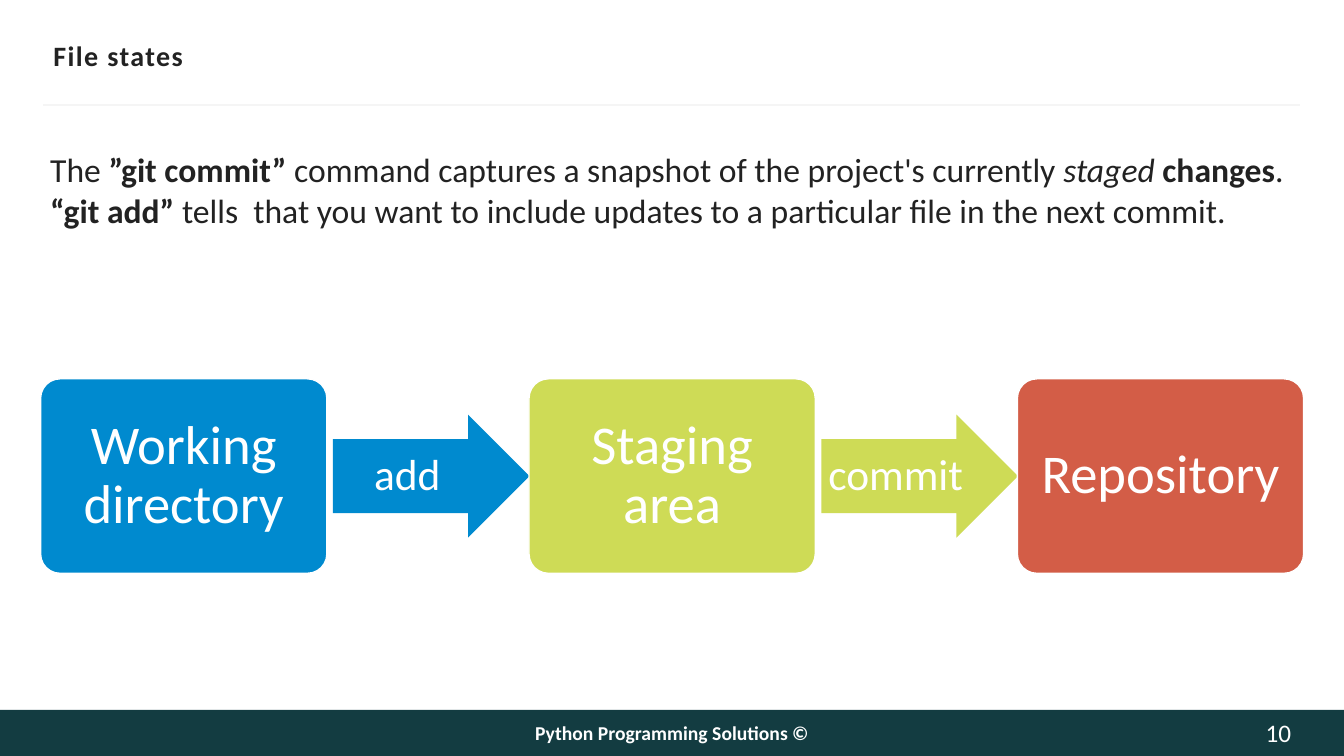
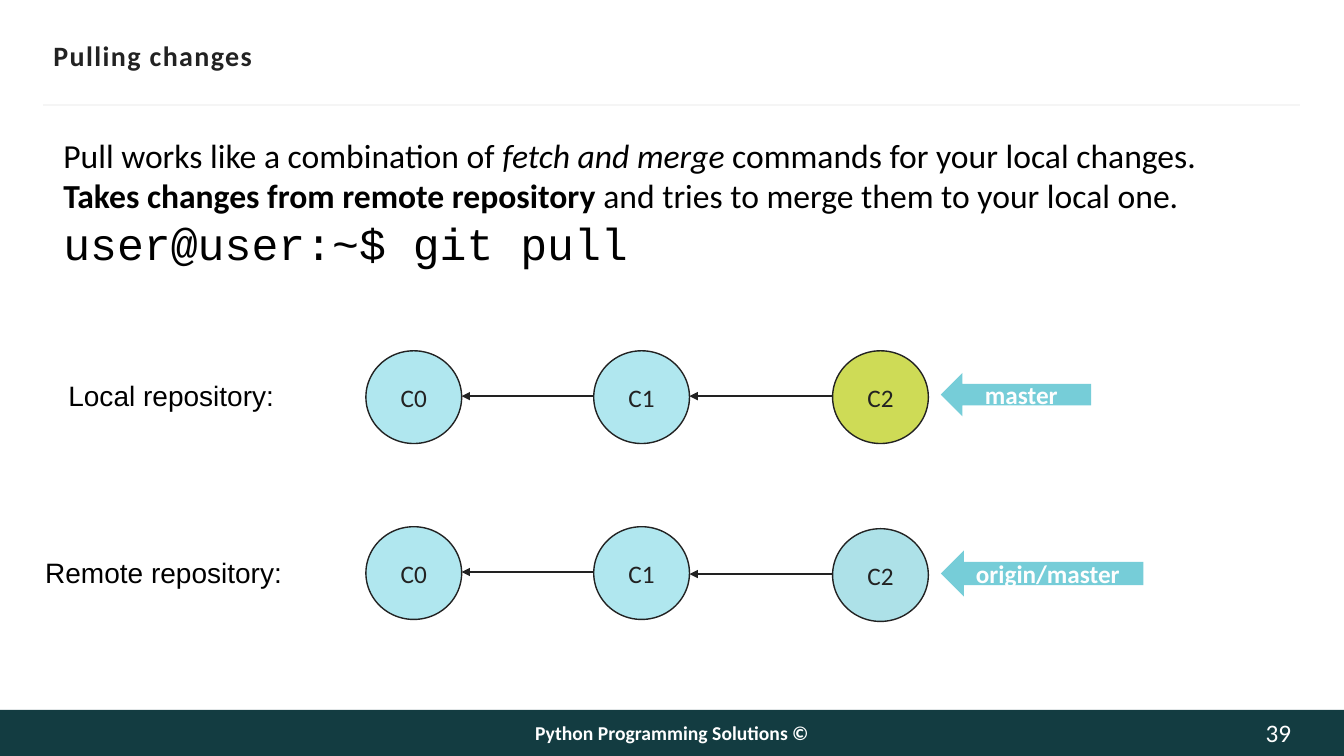
from dataclasses import dataclass
from itertools import pairwise
from typing import NamedTuple

from lxml.etree import SubElement
from pptx import Presentation
from pptx.dml.color import RGBColor
from pptx.enum.shapes import MSO_CONNECTOR, MSO_SHAPE
from pptx.enum.text import MSO_ANCHOR, PP_ALIGN
from pptx.oxml.ns import qn
from pptx.shapes.autoshape import Shape
from pptx.shapes.connector import Connector
from pptx.slide import Slide
from pptx.util import Emu, Inches, Pt

COLUMNS, ROWS = 160, 90
CELL = Inches(1) / 12  # square cell of the layout grid


@dataclass(frozen=True)
class Theme:
    ink: str = "222222"
    black: str = "000000"
    white: str = "FFFFFF"
    off_white: str = "FEFEFE"
    band: str = "133C41"
    rule: str = "F5F5F5"
    blue: str = "008ACF"
    lime: str = "CEDB56"
    red: str = "D35D47"
    pale_cyan: str = "B0E7EF"
    soft_cyan: str = "ADE1E8"
    cyan: str = "76CDD8"
    sans: str = "Calibri"
    label_face: str = "Arial"
    code_face: str = "Courier New"
    footer_size: int = 14
    small_size: int = 18
    title_size: int = 20
    body_size: int = 24
    step_size: int = 31
    code_size: int = 32
    state_size: int = 39


THEME = Theme()


class Box(NamedTuple):
    """Position and size in grid columns and rows."""
    column: float
    row: float
    width: float
    height: float

    @property
    def right(self) -> float:
        return self.column + self.width

    @property
    def middle(self) -> float:
        return self.row + self.height / 2


class Style(NamedTuple):
    size: int
    color: str
    face: str = THEME.sans
    bold: bool = False
    align: PP_ALIGN = PP_ALIGN.LEFT
    line_spacing: float = 1.0


class Span(NamedTuple):
    text: str
    bold: bool = False
    italic: bool = False


class Line(NamedTuple):
    spans: list[Span]
    style: Style


class Stage(NamedTuple):
    name: str
    color: str
    next_step: str = ""


class Commit(NamedTuple):
    name: str
    color: str
    drop: float = 0


class Repository(NamedTuple):
    label: str
    label_box: Box
    row: float
    commits: list[Commit]
    branch: str
    branch_box: Box


TITLE = Style(THEME.title_size, THEME.ink, bold=True)
FOOTER = Style(THEME.footer_size, THEME.white, bold=True, align=PP_ALIGN.CENTER)
NUMBER = Style(THEME.small_size, THEME.off_white, align=PP_ALIGN.RIGHT)
BODY = Style(THEME.body_size, THEME.ink)
BLACK_BODY = Style(THEME.body_size, THEME.black)
CODE = Style(THEME.code_size, THEME.black, THEME.code_face)
LABEL = Style(THEME.title_size, THEME.black, THEME.label_face)
STATE = Style(THEME.state_size, THEME.white, align=PP_ALIGN.CENTER, line_spacing=0.9)
STEP = Style(THEME.step_size, THEME.white, align=PP_ALIGN.CENTER, line_spacing=0.9)
COMMIT = Style(THEME.small_size, THEME.ink, align=PP_ALIGN.CENTER)
BRANCH = Style(THEME.small_size, THEME.off_white, bold=True, align=PP_ALIGN.CENTER)

STAGES = [
    Stage("Working directory", THEME.blue, "add"),
    Stage("Staging area", THEME.lime, "commit"),
    Stage("Repository", THEME.red),
]
STAGE_BOX = Box(4.84, 45.1, 34.08, 23.16)
STAGE_PITCH = 58.14
STEP_GAP = 0.72
STEP_WIDTH, STEP_HEIGHT = 23.4, 14.64

COMMIT_COLUMNS = (43.56, 70.68, 99.12)
COMMIT_WIDTH, COMMIT_HEIGHT = 11.4, 11.04
REPOSITORIES = [
    Repository("Local repository:", Box(6.96, 44.52, 27.12, 5.28), 41.76,
               [Commit("C0", THEME.pale_cyan), Commit("C1", THEME.pale_cyan),
                Commit("C2", THEME.lime)],
               "master", Box(112, 44.4, 17.88, 5.16)),
    Repository("Remote repository:", Box(4.2, 65.52, 30.84, 5.28), 62.7,
               [Commit("C0", THEME.pale_cyan), Commit("C1", THEME.pale_cyan),
                Commit("C2", THEME.soft_cyan, drop=0.24)],
               "origin/master", Box(112, 65.52, 24.12, 5.52)),
]


def grid(cells: float) -> Emu:
    return Emu(round(cells * CELL))


def rgb(color: str) -> RGBColor:
    return RGBColor.from_string(color)


def write(shape: Shape, lines: list[Line], insets: tuple[float, float, float, float],
          anchor: MSO_ANCHOR = MSO_ANCHOR.MIDDLE, wrap: bool = True) -> None:
    """Fill a shape with styled lines; insets are left, top, right, bottom in cells."""
    frame = shape.text_frame
    frame.word_wrap = wrap
    frame.vertical_anchor = anchor
    (frame.margin_left, frame.margin_top,
     frame.margin_right, frame.margin_bottom) = map(grid, insets)
    for index, (spans, style) in enumerate(lines):
        paragraph = frame.add_paragraph() if index else frame.paragraphs[0]
        paragraph.alignment = style.align
        paragraph.line_spacing = style.line_spacing
        font = paragraph.font
        font.size, font.name, font.bold = Pt(style.size), style.face, style.bold
        font.color.rgb = rgb(style.color)
        for span in spans:
            run = paragraph.add_run()
            run.text = span.text
            if span.bold:
                run.font.bold = True
            if span.italic:
                run.font.italic = True


def add_text(slide: Slide, box: Box, lines: list[Line],
             insets: tuple[float, float, float, float] = (1.2, 0.6, 1.2, 0.6),
             anchor: MSO_ANCHOR = MSO_ANCHOR.TOP, wrap: bool = True) -> Shape:
    text = slide.shapes.add_textbox(*map(grid, box))
    write(text, lines, insets, anchor, wrap)
    return text


def add_block(slide: Slide, kind: MSO_SHAPE, box: Box, fill: str, outline: str = "") -> Shape:
    block = slide.shapes.add_shape(kind, *map(grid, box))
    block.shadow.inherit = False
    block.fill.solid()
    block.fill.fore_color.rgb = rgb(fill)
    if outline:
        block.line.color.rgb = rgb(outline)
        block.line.width = Pt(1)
    else:
        block.line.fill.background()
    return block


def add_line(slide: Slide, start: float, end: float, row: float,
             color: str, weight: float) -> Connector:
    line = slide.shapes.add_connector(
        MSO_CONNECTOR.STRAIGHT, grid(start), grid(row), grid(end), grid(row))
    line.line.color.rgb = rgb(color)
    line.line.width = Pt(weight)
    SubElement(line._element.spPr, qn("a:effectLst"))
    return line


def add_frame(slide: Slide, title: str, number: int) -> None:
    """Draw the title, rule and footer band that every slide shares."""
    band = Box(0, 84.5, COLUMNS, ROWS - 84.5)
    add_block(slide, MSO_SHAPE.RECTANGLE, band, THEME.band)
    add_line(slide, 5.16, 154.8, 12.48, THEME.rule, 1.5)
    heading = add_text(slide, Box(6.36, 4, 147.4, 5.2), [Line([Span(title)], TITLE)],
                       (0, 0.6, 0, 0.6), MSO_ANCHOR.MIDDLE)
    for run in heading.text_frame.paragraphs[0].runs:
        run._r.get_or_add_rPr().set("spc", "100")
    add_text(slide, Box(42, band.row, 76, band.height),
             [Line([Span("Python Programming Solutions ©")], FOOTER)],
             anchor=MSO_ANCHOR.MIDDLE)
    add_text(slide, Box(145.8, band.row, 7.92, band.height),
             [Line([Span(str(number))], NUMBER)], (0, 0, 0, 0), MSO_ANCHOR.MIDDLE)


def add_stage(slide: Slide, index: int, stage: Stage) -> None:
    """Draw a file state and the step arrow that leads on from it."""
    box = STAGE_BOX._replace(column=STAGE_BOX.column + index * STAGE_PITCH)
    state = add_block(slide, MSO_SHAPE.ROUNDED_RECTANGLE, box, stage.color, THEME.white)
    state.adjustments[0] = 0.1
    write(state, [Line([Span(stage.name)], STATE)], (1.92,) * 4)
    if stage.next_step:
        step_box = Box(box.right + STEP_GAP, box.middle - STEP_HEIGHT / 2,
                       STEP_WIDTH, STEP_HEIGHT)
        step = add_block(slide, MSO_SHAPE.RIGHT_ARROW, step_box, stage.color)
        step.adjustments[0], step.adjustments[1] = 0.6, 0.5
        write(step, [Line([Span(stage.next_step)], STEP)], (0, 0, 1.32, 0))


def add_repository(slide: Slide, repository: Repository) -> None:
    """Draw one labelled commit history with its branch pointer."""
    add_text(slide, repository.label_box, [Line([Span(repository.label)], LABEL)], wrap=False)
    boxes = [Box(column, repository.row + commit.drop, COMMIT_WIDTH, COMMIT_HEIGHT)
             for column, commit in zip(COMMIT_COLUMNS, repository.commits)]
    for box, commit in zip(boxes, repository.commits):
        circle = add_block(slide, MSO_SHAPE.OVAL, box, commit.color, THEME.ink)
        write(circle, [Line([Span(commit.name)], COMMIT)], (0,) * 4)
    for parent, child in pairwise(boxes):
        link = add_line(slide, parent.right, child.column, child.middle - 0.12, THEME.ink, 1)
        SubElement(link.line._get_or_add_ln(), qn("a:headEnd"), type="triangle")
    pointer = add_block(slide, MSO_SHAPE.LEFT_ARROW, repository.branch_box, THEME.cyan)
    write(pointer, [Line([Span(repository.branch)], BRANCH)], (0,) * 4)


def build_file_states(slide: Slide) -> None:
    add_frame(slide, "File states", 10)
    add_text(slide, Box(4.8, 17.16, 150.48, 10.92), [
        Line([Span("The "), Span("”git commit”", bold=True),
              Span(" command captures a snapshot of the project's currently "),
              Span("staged ", italic=True), Span("changes", bold=True), Span(".")], BODY),
        Line([Span("“git add” ", bold=True),
              Span("tells  that you want to include updates to a particular file "
                   "in the next commit.")], BODY),
    ])
    for index, stage in enumerate(STAGES):
        add_stage(slide, index, stage)


def build_pulling_changes(slide: Slide) -> None:
    add_frame(slide, "Pulling changes", 39)
    add_text(slide, Box(6.36, 15.48, 149.04, 17.4), [
        Line([Span("Pull works like a combination of "),
              Span("fetch and merge ", italic=True),
              Span("commands for your local changes.")], BLACK_BODY),
        Line([Span("Takes changes from remote repository", bold=True),
              Span(" and tries to merge them to your local one.")], BLACK_BODY),
        Line([Span("user@user:~$ git pull")], CODE),
    ])
    for repository in REPOSITORIES:
        add_repository(slide, repository)


def main() -> None:
    deck = Presentation()
    deck.slide_width, deck.slide_height = grid(COLUMNS), grid(ROWS)
    blank = deck.slide_layouts[6]
    for build in (build_file_states, build_pulling_changes):
        build(deck.slides.add_slide(blank))
    deck.save("out.pptx")


if __name__ == "__main__":
    main()
